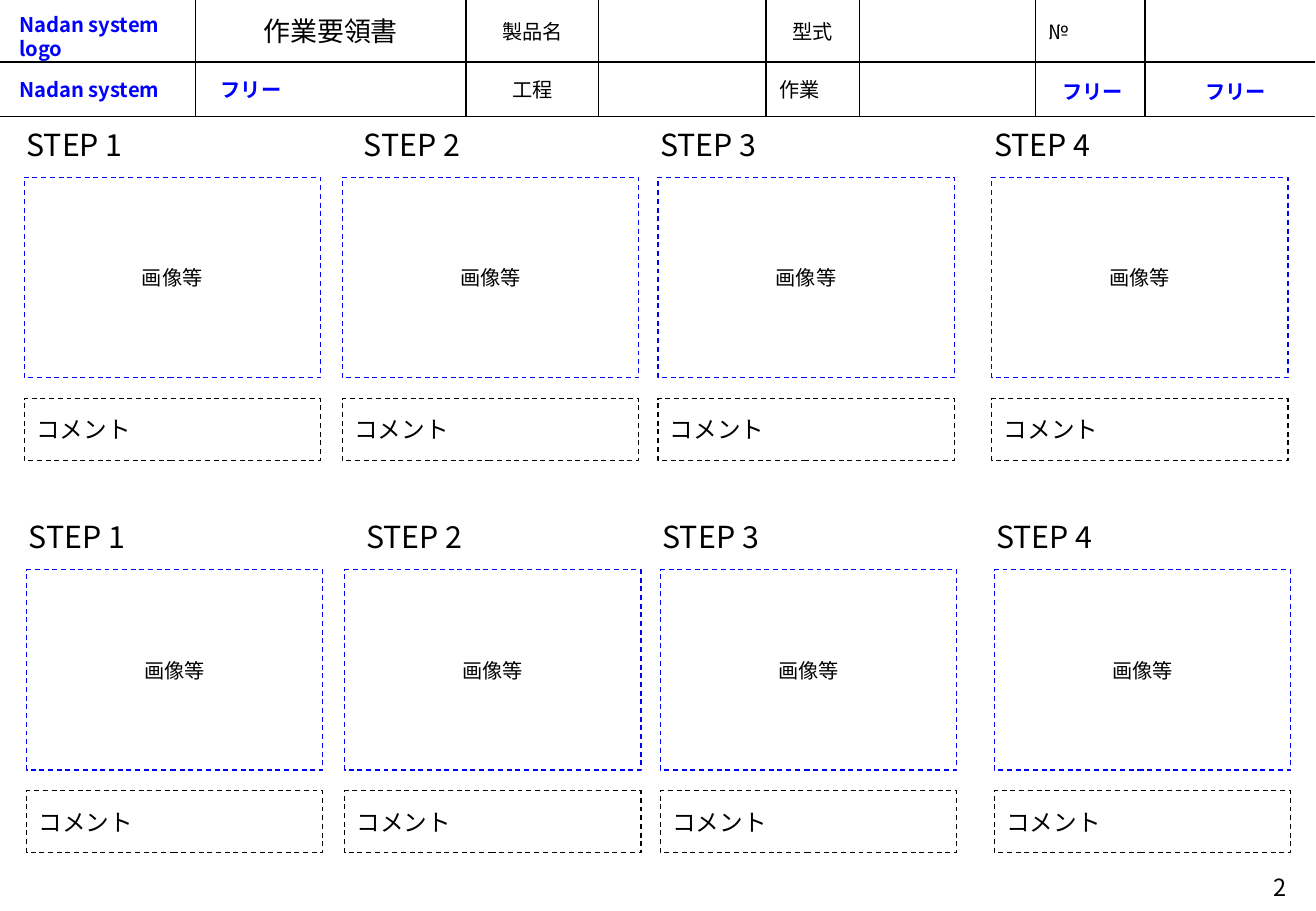
import pptx
import pptx.dml.color
import pptx.enum.dml
import pptx.enum.shapes
import pptx.enum.text
import pptx.oxml.ns
import pptx.util
from lxml import etree

Inches = pptx.util.Inches
Align = pptx.enum.text.PP_ALIGN
Anchor = pptx.enum.text.MSO_ANCHOR


def color(value):
    return pptx.dml.color.RGBColor.from_string(value)


class SheetBuilder:
    font_name = "Noto Sans CJK JP"
    black = "000000"
    blue = "0000FF"
    white = "FFFFFF"

    def __init__(self, slide):
        self.slide = slide

    def style_text(self, shape, text, size, ink, bold, align, anchor, inset):
        frame = shape.text_frame
        frame.word_wrap = True
        frame.vertical_anchor = anchor
        frame.margin_left = frame.margin_right = Inches(inset)
        frame.margin_top = frame.margin_bottom = Inches(0.05)
        frame.text = text
        paragraph = frame.paragraphs[0]
        paragraph.alignment = align
        for run in paragraph.runs:
            run.font.size = pptx.util.Pt(size)
            run.font.bold = bold
            run.font.color.rgb = color(ink)
            run.font.name = self.font_name
            properties = run._r.get_or_add_rPr()
            east_asian = etree.SubElement(properties, pptx.oxml.ns.qn("a:ea"))
            east_asian.set("typeface", self.font_name)

    def text(self, box, text, size=12, ink=black, bold=False,
             align=Align.LEFT, anchor=Anchor.TOP, inset=0.1):
        shape = self.slide.shapes.add_textbox(*map(Inches, box))
        self.style_text(shape, text, size, ink, bold, align, anchor, inset)
        return shape

    def panel(self, box, text, size=12, align=Align.CENTER, border=None, inset=0.1):
        rectangle = pptx.enum.shapes.MSO_SHAPE.RECTANGLE
        shape = self.slide.shapes.add_shape(rectangle, *map(Inches, box))
        shape.shadow.inherit = False
        shape.fill.solid()
        shape.fill.fore_color.rgb = color(self.white)
        if border:
            shape.line.color.rgb = color(border)
            shape.line.width = pptx.util.Pt(0.75)
            shape.line.dash_style = pptx.enum.dml.MSO_LINE.DASH
        else:
            shape.line.fill.background()
        self.style_text(shape, text, size, self.black, False, align, Anchor.MIDDLE, inset)

    def rule(self, start, end):
        straight = pptx.enum.shapes.MSO_CONNECTOR.STRAIGHT
        line = self.slide.shapes.add_connector(straight, *map(Inches, start + end))
        line.line.color.rgb = color(self.black)
        line.line.width = pptx.util.Pt(1)
        etree.SubElement(line._element.spPr, pptx.oxml.ns.qn("a:effectLst"))

    def header(self):
        edges = [1.61, 3.84, 4.93, 6.31, 7.08, 8.53, 9.43, 10.83]
        middle, bottom = 0.51, 0.96
        titles = ["作業要領書", "製品名", "", "型式", "", "№", ""]
        for left, right, title in zip(edges, edges[1:], titles):
            self.panel((left, 0, right - left, middle), title,
                       size=16 if title == "作業要領書" else 12,
                       align=Align.LEFT if title == "№" else Align.CENTER, inset=0.11)
        self.text((3.84, middle, 1.09, 0.45), "工程",
                  align=Align.CENTER, anchor=Anchor.MIDDLE, inset=0.11)
        self.text((6.31, middle, 0.77, 0.45), "作業", anchor=Anchor.MIDDLE, inset=0.11)
        for edge in edges[:-1]:
            self.rule((edge, 0), (edge, bottom))
        for height in (middle, bottom):
            self.rule((0, height), (edges[-1], height))
        entries = [
            (0.06, 0.05, 1.49, "Nadan system logo"),
            (0.06, 0.59, 1.49, "Nadan system"),
            (1.72, 0.59, 2.05, "フリー"),
            (8.65, 0.6, 0.87, "フリー"),
            (9.83, 0.6, 0.87, "フリー"),
        ]
        for left, top, width, entry in entries:
            self.text((left, top, width, 0.4), entry, ink=self.blue, bold=True)

    def step(self, number, left, top, label_shift):
        width = 2.44
        self.panel((left, top, width, 1.65), "画像等", border=self.blue)
        self.panel((left, top + 1.82, width, 0.51), "コメント", size=14,
                   align=Align.LEFT, border="040000")
        self.text((left + label_shift, top - 0.47, width, 0.4), f"STEP {number}", size=18)

    def page_number(self, number):
        shape = self.text((10.17, 7.14, 0.72, 0.4), str(number), size=14,
                          align=Align.RIGHT, anchor=Anchor.MIDDLE)
        shape.text_frame.margin_right = Inches(0.29)
        shape.text_frame.paragraphs[0].line_spacing = pptx.util.Pt(11)


def main():
    presentation = pptx.Presentation()
    presentation.slide_width = Inches(10.84)
    presentation.slide_height = Inches(7.5)
    slide = presentation.slides.add_slide(presentation.slide_layouts[6])
    sheet = SheetBuilder(slide)
    sheet.header()
    sheet.page_number(2)
    columns = [(0.2, -0.08), (2.82, 0.08), (5.42, -0.08), (8.17, -0.08)]
    for row_shift, top in [(0, 1.46), (0.02, 4.69)]:
        for number, (left, label_shift) in enumerate(columns, start=1):
            sheet.step(number, left + row_shift, top, label_shift)
    presentation.save("out.pptx")


if __name__ == "__main__":
    main()
